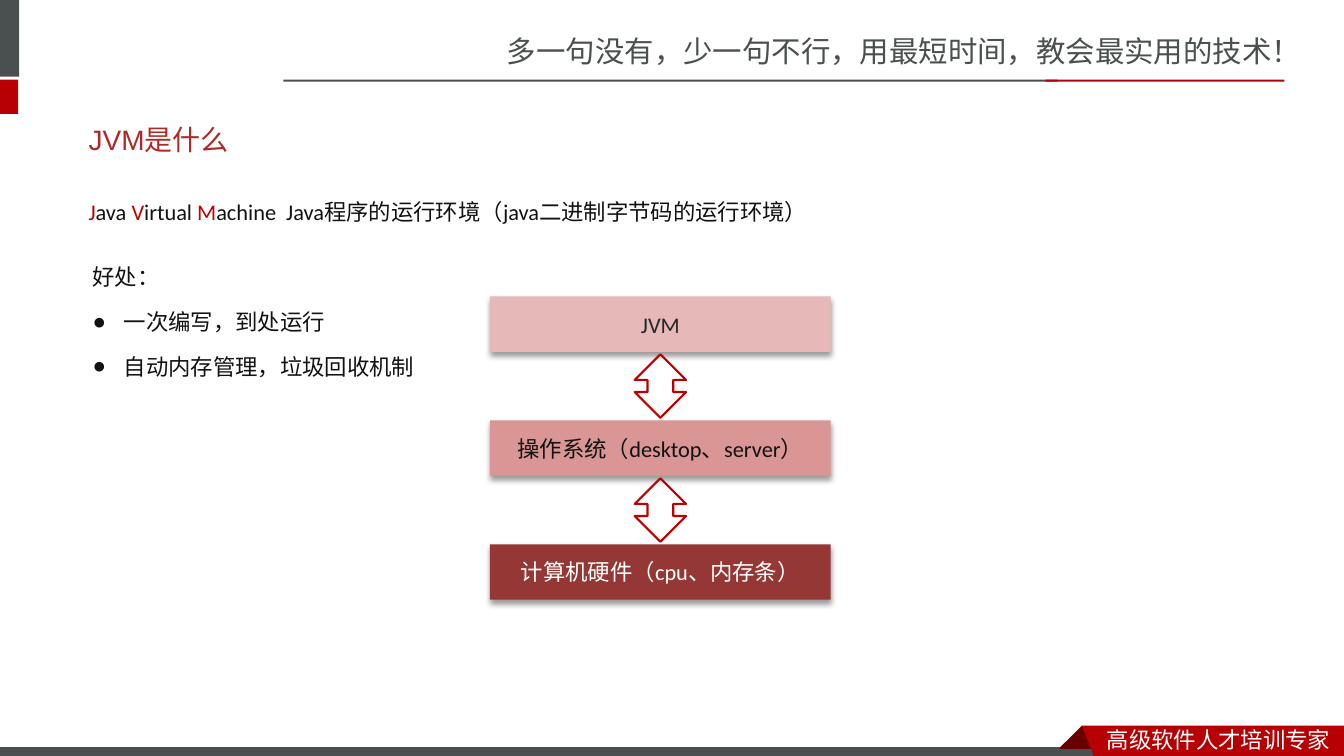
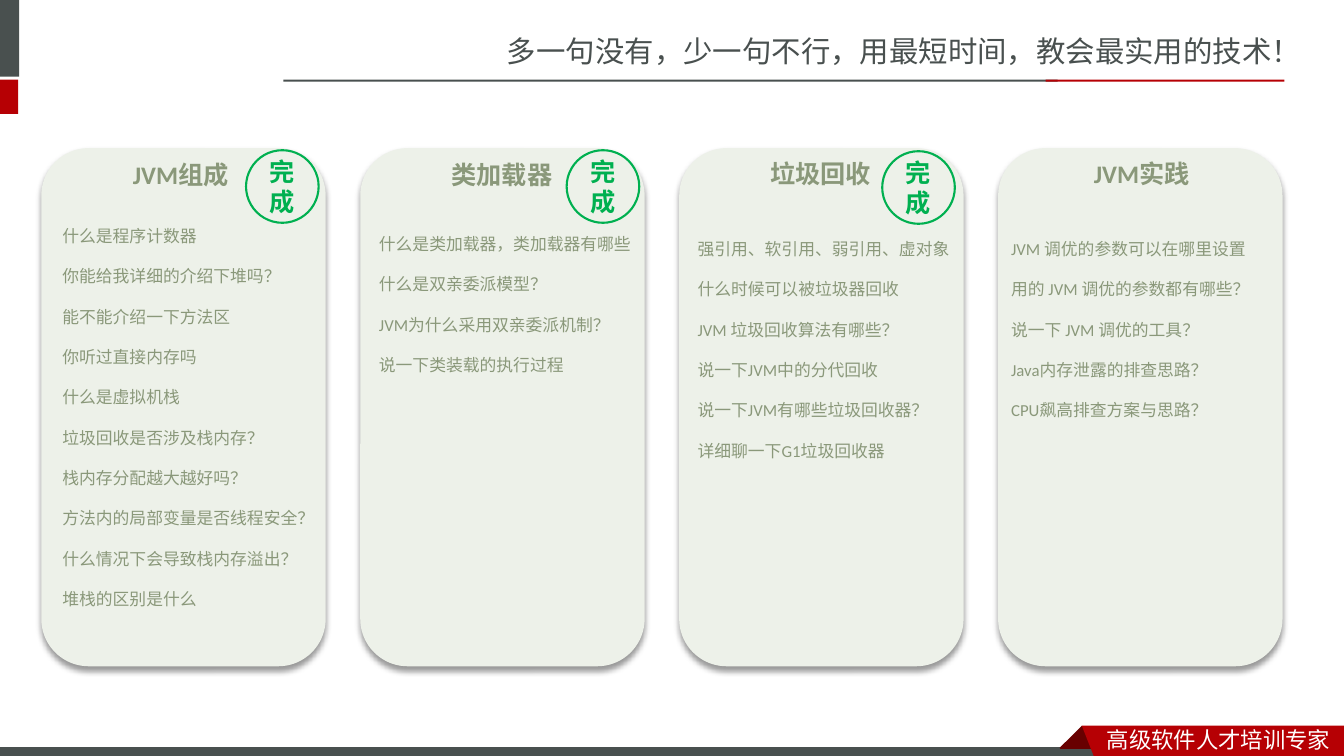
from lxml import etree
from pptx import Presentation
from pptx.dml.color import RGBColor
from pptx.enum.shapes import MSO_SHAPE
from pptx.enum.text import MSO_ANCHOR, PP_ALIGN
from pptx.oxml.ns import qn
from pptx.util import Inches, Pt

RECTANGLE, ROUNDED = MSO_SHAPE.RECTANGLE, MSO_SHAPE.ROUNDED_RECTANGLE
ELLIPSE, DOUBLE_ARROW = MSO_SHAPE.OVAL, MSO_SHAPE.UP_DOWN_ARROW
LEFT, CENTER = PP_ALIGN.LEFT, PP_ALIGN.CENTER
TOP, MIDDLE = MSO_ANCHOR.TOP, MSO_ANCHOR.MIDDLE
TITLE_ONLY, BLANK = 5, 6

COLORS = {
    "slate": "49504F", "red": "B60004", "fold": "680000", "white": "FFFFFF",
    "title": "AD2A26", "accent": "C00000", "ink": "121212", "dark": "262626",
    "pale": "E6B9B8", "rose": "D99694", "wine": "953735",
    "card": "EDF1E9", "sage": "8A987A", "green": "00B050", "black": "000000",
}
CJK, CJK_JP, LATIN = "Noto Sans CJK SC", "Noto Sans CJK JP", "Calibri"

SLOGAN = "多一句没有，少一句不行，用最短时间，教会最实用的技术！"
TAGLINE = "高级软件人才培训专家"
BANDS = [
    ((-0.06, 0, 0.25, 0.76), "slate", None),
    ((-0.06, 0.79, 0.24, 0.34), "red", None),
    ((2.81, 0.79, 7.68, 0.02), "slate", None),
    ((10.37, 0.79, 2.37, 0.02), "red", None),
    ((-0.01, 7.41, 11, 0.12), "slate", "white"),
]
RIBBON_FOLD = [(10.73, 7.2), (10.95, 7.42), (10.94, 7.43), (10.52, 7.43), (10.51, 7.42)]
RIBBON = [(10.73, 7.2), (13.33, 7.2), (13.33, 7.54), (10.86, 7.53)]

JVM_TITLE = "JVM是什么"
DEFINITION = [
    ("J", "accent"), ("ava ", "ink"), ("V", "accent"), ("irtual ", "ink"), ("M", "accent"),
    ("achine  Java程序的运行环境（java二进制字节码的运行环境）", "ink"),
]
BENEFITS = ["好处：", "一次编写，到处运行", "自动内存管理，垃圾回收机制"]
LAYERS = [
    ("JVM", "pale", "dark"),
    ("操作系统（desktop、server）", "rose", "ink"),
    ("计算机硬件（cpu、内存条）", "wine", "white"),
]

DONE = "完成"
TOPICS = [
    {"heading": "JVM组成", "heading_at": (1.22, 1.53), "list_at": (0.52, 1.99),
     "badge_at": (2.44, 1.49), "font": CJK_JP,
     "questions": ["什么是程序计数器", "你能给我详细的介绍下堆吗？", "能不能介绍一下方法区",
                   "你听过直接内存吗", "什么是虚拟机栈", "垃圾回收是否涉及栈内存？",
                   "栈内存分配越大越好吗？", "方法内的局部变量是否线程安全？",
                   "什么情况下会导致栈内存溢出？", "堆栈的区别是什么"]},
    {"heading": "类加载器", "heading_at": (4.38, 1.53), "list_at": (3.66, 2.07),
     "badge_at": (5.62, 1.49), "font": LATIN,
     "questions": ["什么是类加载器，类加载器有哪些", "什么是双亲委派模型？",
                   "JVM为什么采用双亲委派机制？", "说一下类装载的执行过程"]},
    {"heading": "垃圾回收", "heading_at": (7.54, 1.52), "list_at": (6.82, 2.12),
     "badge_at": (8.75, 1.5), "font": LATIN,
     "questions": ["强引用、软引用、弱引用、虚对象什么时候可以被垃圾器回收",
                   "JVM 垃圾回收算法有哪些？", "说一下JVM中的分代回收",
                   "说一下JVM有哪些垃圾回收器？", "详细聊一下G1垃圾回收器"]},
    {"heading": "JVM实践", "heading_at": (10.75, 1.52), "list_at": (9.93, 2.12),
     "badge_at": None, "font": LATIN,
     "questions": ["JVM 调优的参数可以在哪里设置", "用的 JVM 调优的参数都有哪些？",
                   "说一下 JVM 调优的工具？", "Java内存泄露的排查思路？",
                   "CPU飙高排查方案与思路？"]},
]


def rgb(name):
    return RGBColor.from_string(COLORS[name])


def format_run(run, size, color, font=LATIN, bold=False):
    run.font.size, run.font.name, run.font.bold = Pt(size), font, bold
    run.font.color.rgb = rgb(color)
    east_asian = etree.Element(qn("a:ea"), typeface=font if font == CJK_JP else CJK)
    run.font._element.find(qn("a:latin")).addnext(east_asian)


def write(shape, lines, size, color, font=LATIN, bold=False, align=LEFT, anchor=TOP,
          spacing=None, before=0):
    frame = shape.text_frame
    frame.text = "\n".join(lines)
    frame.word_wrap, frame.vertical_anchor = True, anchor
    for paragraph in frame.paragraphs:
        paragraph.alignment, paragraph.space_before = align, Pt(before)
        if spacing:
            paragraph.line_spacing = spacing
        for run in paragraph.runs:
            format_run(run, size, color, font, bold)


def add_text(slide, box, lines, size, color, **style):
    shape = slide.shapes.add_textbox(*map(Inches, box))
    write(shape, lines, size, color, **style)
    return shape


def paint(shape, fill=None, line=None, width=0.75):
    shape.shadow.inherit = False
    if fill:
        shape.fill.solid()
        shape.fill.fore_color.rgb = rgb(fill)
    else:
        shape.fill.background()
    if line:
        shape.line.color.rgb = rgb(line)
        shape.line.width = Pt(width)
    else:
        shape.line.fill.background()


def add_block(slide, kind, box, fill=None, line=None, width=0.75):
    shape = slide.shapes.add_shape(kind, *map(Inches, box))
    paint(shape, fill, line, width)
    return shape


def add_outline(slide, points, fill):
    corners = [(Inches(x), Inches(y)) for x, y in points]
    builder = slide.shapes.build_freeform(*corners[0])
    builder.add_line_segments(corners[1:], close=True)
    paint(builder.convert_to_shape(), fill)


def cast_shadow(shape):
    effects = shape._element.spPr.find(qn("a:effectLst"))
    shadow = etree.SubElement(effects, qn("a:outerShdw"), blurRad=str(Pt(4)),
                              dist=str(Pt(3)), dir="5400000", rotWithShape="0")
    color = etree.SubElement(shadow, qn("a:srgbClr"), val=COLORS["black"])
    etree.SubElement(color, qn("a:alpha"), val="40000")


def add_bullet(paragraph):
    properties = paragraph._p.get_or_add_pPr()
    properties.set("marL", str(Inches(0.31)))
    properties.set("indent", str(Inches(-0.31)))
    etree.SubElement(properties, qn("a:buFont"), typeface="Arial")
    etree.SubElement(properties, qn("a:buChar"), char="●")


def add_framed_slide(presentation, layout):
    slide = presentation.slides.add_slide(presentation.slide_layouts[layout])
    add_text(slide, (4.93, 0.28, 8.41, 0.47), [SLOGAN], 21, "slate", font=CJK)
    for box, fill, line in BANDS:
        add_block(slide, RECTANGLE, box, fill, line)
    add_outline(slide, RIBBON_FOLD, "fold")
    add_outline(slide, RIBBON, "red")
    add_text(slide, (10.88, 7.15, 2.45, 0.37), [TAGLINE], 16, "white", font=CJK)
    return slide


def build_jvm_slide(presentation):
    slide = add_framed_slide(presentation, TITLE_ONLY)
    title = slide.shapes.title
    title.left, title.top, title.width, title.height = map(Inches, (0.78, 1.1, 11.7, 0.57))
    write(title, [JVM_TITLE], 20, "title", font="Arial", anchor=MIDDLE)

    definition = add_text(slide, (0.78, 1.78, 11.7, 0.57), [""], 16, "ink",
                          spacing=1.5, before=3.2)
    for text, color in DEFINITION:
        run = definition.text_frame.paragraphs[0].add_run()
        run.text = text
        format_run(run, 16, color)

    left, top, width, height, step = 4.86, 2.94, 3.38, 0.55, 1.23
    arrow_width, arrow_height = 0.51, 0.63
    for index, (label, fill, color) in enumerate(LAYERS):
        layer_top = top + index * step
        layer = add_block(slide, RECTANGLE, (left, layer_top, width, height), fill)
        cast_shadow(layer)
        write(layer, [label], 16, color, align=CENTER, anchor=MIDDLE)
        if index:
            arrow_top = layer_top - (step - height + arrow_height) / 2
            arrow_left = left + (width - arrow_width) / 2
            add_block(slide, DOUBLE_ARROW, (arrow_left, arrow_top, arrow_width, arrow_height),
                      line="accent", width=1.5)

    benefits = add_text(slide, (0.82, 2.43, 3.7, 1.97), BENEFITS, 16, "ink",
                        spacing=1.5, before=3.2)
    for paragraph in benefits.text_frame.paragraphs[1:]:
        add_bullet(paragraph)


def build_topics_slide(presentation):
    slide = add_framed_slide(presentation, BLANK)
    first, last = 0.41, 9.9
    pitch = (last - first) / (len(TOPICS) - 1)
    for index, topic in enumerate(TOPICS):
        card = add_block(slide, ROUNDED, (first + index * pitch, 1.47, 2.82, 5.14), "card")
        cast_shadow(card)
        add_text(slide, (*topic["heading_at"], 1.53, 0.4), [topic["heading"]], 18, "sage",
                 bold=True)
        add_text(slide, (*topic["list_at"], 2.71, 4.08), topic["questions"], 12, "sage",
                 font=topic["font"], spacing=2.0)
        if topic["badge_at"]:
            badge = add_block(slide, ELLIPSE, (*topic["badge_at"], 0.72, 0.72),
                              line="green", width=1.5)
            write(badge, [DONE], 18, "green", font="Courier New", bold=True,
                  align=CENTER, anchor=MIDDLE)


presentation = Presentation()
presentation.slide_width, presentation.slide_height = Inches(13.33), Inches(7.5)
build_jvm_slide(presentation)
build_topics_slide(presentation)
presentation.save("out.pptx")
